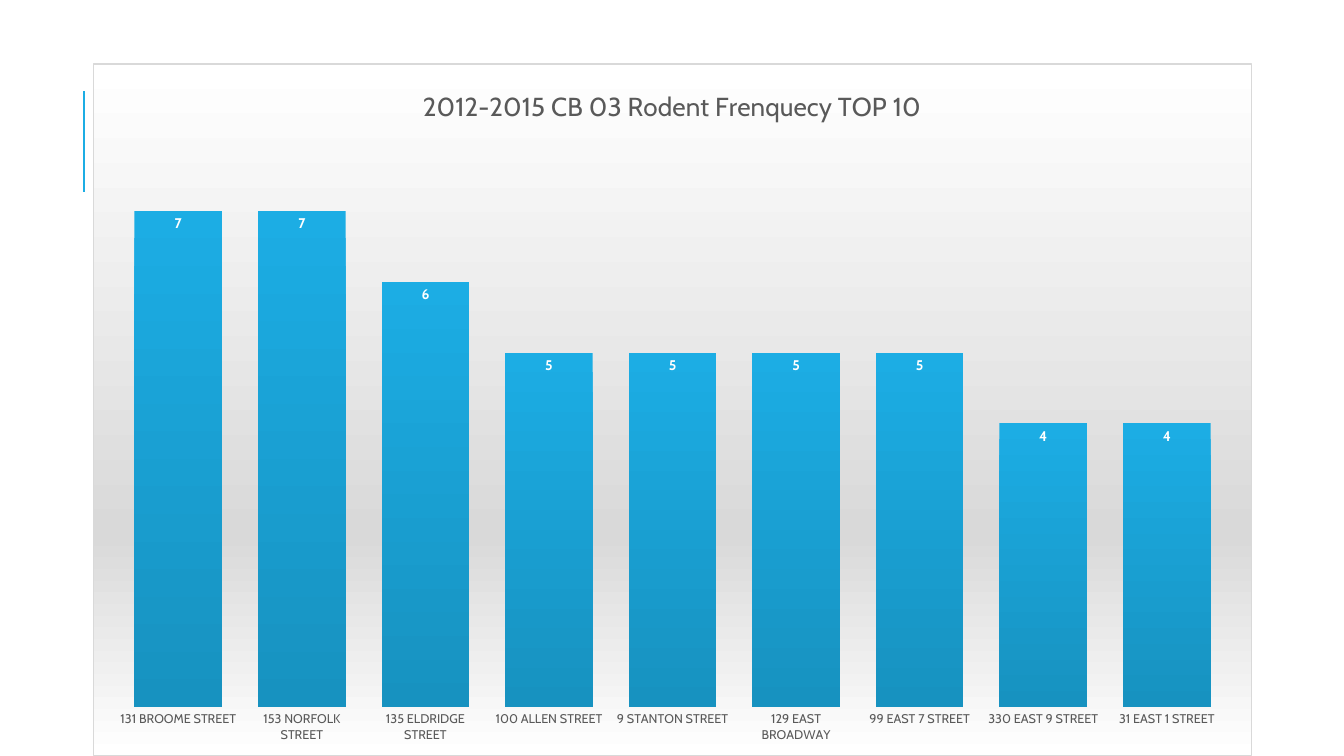
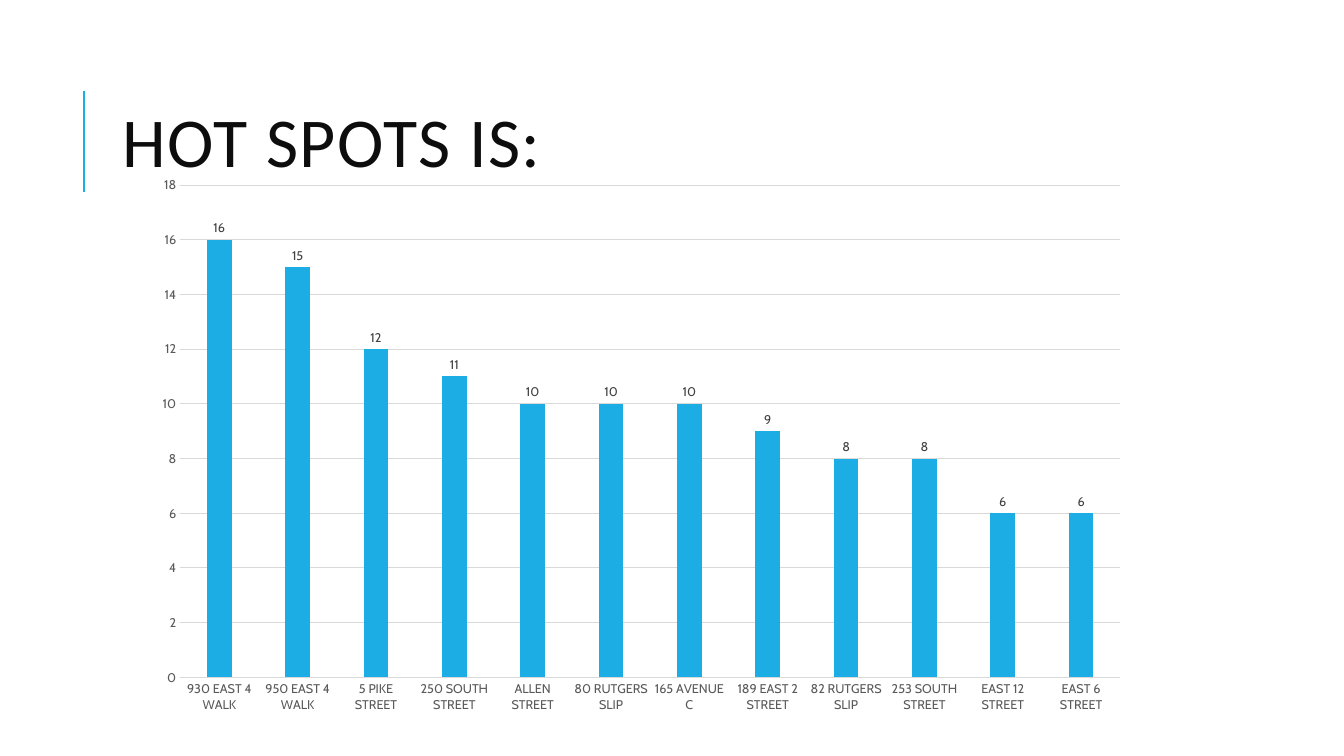
from dataclasses import dataclass
from typing import Any, Optional

from lxml.etree import SubElement
from pptx import Presentation
from pptx.chart.chart import Chart
from pptx.chart.data import CategoryChartData
from pptx.dml.color import RGBColor
from pptx.enum.chart import XL_CHART_TYPE, XL_LABEL_POSITION, XL_TICK_MARK
from pptx.enum.shapes import MSO_CONNECTOR
from pptx.enum.text import MSO_ANCHOR
from pptx.oxml import parse_xml
from pptx.oxml.ns import nsdecls, qn
from pptx.slide import Slide
from pptx.util import Inches, Pt


@dataclass(frozen=True)
class Theme:
    accent: str = "1CADE4"
    accent_dark: str = "1792C0"
    white: str = "FFFFFF"
    silver: str = "D9D9D9"
    axis_text: str = "595959"
    label_text: str = "404040"
    title_text: str = "0D0D0D"
    black: str = "000000"
    body_font: str = "Cabin"
    title_font: str = "Calibri"
    title_size: float = 50
    chart_title_size: float = 18.6
    chart_size: float = 10
    axis_size: float = 9
    accent_width: float = 1.5
    hairline: float = 0.75


THEME = Theme()


@dataclass(frozen=True)
class ColumnChart:
    box: tuple[float, float, float, float]
    plot_area: tuple[float, float, float, float]  # fractions of the chart
    values: dict[str, int]
    top: int
    step: int
    gap: int
    overlap: int
    label_size: float
    label_color: str
    label_bold: bool
    label_position: Any
    title: Optional[str] = None
    framed: bool = False


RODENT_CHART = ColumnChart(
    box=(0.92, 0.63, 11.5, 6.87),
    plot_area=(0.02, 0.11, 0.96, 0.82),
    values={
        "131 BROOME STREET": 7, "153 NORFOLK STREET": 7, "135 ELDRIDGE STREET": 6,
        "100 ALLEN STREET": 5, "9 STANTON STREET": 5, "129 EAST BROADWAY": 5,
        "99 EAST 7 STREET": 5, "330 EAST 9 STREET": 4, "31 EAST 1 STREET": 4,
    },
    top=8, step=1, gap=41, overlap=0,
    label_size=THEME.chart_size, label_color=THEME.white, label_bold=True,
    label_position=XL_LABEL_POSITION.INSIDE_END,
    title="2012-2015 CB 03 Rodent Frenquecy TOP 10",
    framed=True,
)

HOT_SPOT_CHART = ColumnChart(
    box=(1.39, 1.67, 9.92, 5.55),
    plot_area=(0.04, 0.03, 0.94, 0.88),
    values={
        "930 EAST 4 WALK": 16, "950 EAST 4 WALK": 15, "5 PIKE STREET": 12,
        "250 SOUTH STREET": 11, "ALLEN STREET": 10, "80 RUTGERS SLIP": 10,
        "165 AVENUE C": 10, "189 EAST 2 STREET": 9, "82 RUTGERS SLIP": 8,
        "253 SOUTH STREET": 8, "EAST 12 STREET": 6, "EAST 6 STREET": 6,
    },
    top=18, step=2, gap=219, overlap=-27,
    label_size=THEME.axis_size, label_color=THEME.label_text, label_bold=False,
    label_position=XL_LABEL_POSITION.OUTSIDE_END,
)


# Formatting helpers
def set_format(target: Any, values: dict[str, Any]) -> None:
    for name, value in values.items():
        setattr(target, name, value)


def set_font(font: Any, size: float, color: str, name: str = THEME.body_font,
             bold: bool = False) -> None:
    set_format(font, {"size": Pt(size), "name": name, "bold": bold})
    font.color.rgb = RGBColor.from_string(color)


def set_line(line: Any, color: str, width: float) -> None:
    line.color.rgb = RGBColor.from_string(color)
    line.width = Pt(width)


# Shared slide parts
def add_accent_line(page: Slide) -> None:
    line = page.shapes.add_connector(
        MSO_CONNECTOR.STRAIGHT, Inches(0.83), Inches(1.9), Inches(0.83), Inches(0.9))
    set_line(line.line, THEME.accent, THEME.accent_width)
    SubElement(line.element.spPr, qn("a:effectLst"))


def add_title(page: Slide, text: str) -> None:
    box = page.shapes.add_textbox(*map(Inches, (1.12, 0.64, 10.63, 1.64)))
    set_format(box.text_frame,
               {"word_wrap": True, "vertical_anchor": MSO_ANCHOR.MIDDLE})
    para = box.text_frame.paragraphs[0]
    para.line_spacing = 0.8
    span = para.add_run()
    span.text = text
    set_font(span.font, THEME.title_size, THEME.title_text, THEME.title_font)
    span.font._element.set("spc", "100")


# Chart parts
def place_plot_area(chart: Chart, fractions: tuple[float, ...]) -> None:
    plot_area = chart.element.find(qn("c:chart")).find(qn("c:plotArea"))
    for old in plot_area.findall(qn("c:layout")):
        plot_area.remove(old)
    modes = '<c:xMode val="edge"/><c:yMode val="edge"/>'
    sizes = "".join(f'<c:{key} val="{value}"/>' for key, value in zip("xywh", fractions))
    plot_area.insert(0, parse_xml(
        f'<c:layout {nsdecls("c")}><c:manualLayout><c:layoutTarget val="inner"/>'
        f"{modes}{sizes}</c:manualLayout></c:layout>"))


def frame_chart(chart: Chart) -> None:
    stops = "".join(
        f'<a:gs pos="{percent * 1000}"><a:srgbClr val="{color}"/></a:gs>'
        for percent, color in ((0, THEME.white), (68, THEME.silver), (100, THEME.white)))
    chart.element.find(qn("c:chart")).addnext(parse_xml(
        f'<c:spPr {nsdecls("c", "a")}><a:gradFill><a:gsLst>{stops}</a:gsLst>'
        f'<a:lin ang="5400000" scaled="0"/></a:gradFill>'
        f'<a:ln w="{Pt(THEME.hairline)}"><a:solidFill><a:srgbClr val="{THEME.silver}"/>'
        f"</a:solidFill></a:ln></c:spPr>"))


def format_axes(chart: Chart, design: ColumnChart) -> None:
    for axis in (chart.category_axis, chart.value_axis):
        set_format(axis, {"major_tick_mark": XL_TICK_MARK.NONE,
                          "minor_tick_mark": XL_TICK_MARK.NONE,
                          "has_major_gridlines": False})
        set_font(axis.tick_labels.font, THEME.axis_size, THEME.axis_text)
        axis.format.line.fill.background()
    set_format(chart.value_axis, {"minimum_scale": 0, "maximum_scale": design.top,
                                  "major_unit": design.step,
                                  "visible": not design.framed})
    if not design.framed:
        set_line(chart.category_axis.format.line, THEME.silver, THEME.hairline)
        chart.value_axis.has_major_gridlines = True
        set_line(chart.value_axis.major_gridlines.format.line,
                 THEME.silver, THEME.hairline)


def format_columns(chart: Chart, design: ColumnChart) -> None:
    plot = chart.plots[0]
    set_format(plot, {"gap_width": design.gap, "overlap": design.overlap,
                      "vary_by_categories": False, "has_data_labels": True})
    set_format(plot.data_labels, {"show_value": True, "position": design.label_position})
    set_font(plot.data_labels.font, design.label_size, design.label_color,
             bold=design.label_bold)
    fill = plot.series[0].format.fill
    if design.framed:
        fill.gradient()
        fill.gradient_angle = 270
        for stop, color in zip(fill.gradient_stops, (THEME.accent, THEME.accent_dark)):
            stop.color.rgb = RGBColor.from_string(color)
    else:
        fill.solid()
        fill.fore_color.rgb = RGBColor.from_string(THEME.accent)


def add_column_chart(page: Slide, design: ColumnChart) -> None:
    data = CategoryChartData()
    data.categories = list(design.values)
    data.add_series("Series 1", list(design.values.values()))
    chart = page.shapes.add_chart(
        XL_CHART_TYPE.COLUMN_CLUSTERED, *map(Inches, design.box), data).chart
    set_format(chart, {"has_legend": False, "has_title": design.title is not None})
    set_font(chart.font, THEME.chart_size, THEME.black)
    if design.title:
        span = chart.chart_title.text_frame.paragraphs[0].add_run()
        span.text = design.title
        set_font(span.font, THEME.chart_title_size, THEME.axis_text)
        chart.chart_title.include_in_layout = False
    format_axes(chart, design)
    format_columns(chart, design)
    place_plot_area(chart, design.plot_area)
    if design.framed:
        frame_chart(chart)


def main() -> None:
    deck = Presentation()
    set_format(deck, {"slide_width": Inches(13.33), "slide_height": Inches(7.5)})
    for title, design in ((None, RODENT_CHART), ("HOT SPOTS IS:", HOT_SPOT_CHART)):
        page = deck.slides.add_slide(deck.slide_layouts[6])
        add_accent_line(page)
        if title:
            add_title(page, title)
        add_column_chart(page, design)
    deck.save("out.pptx")


if __name__ == "__main__":
    main()
